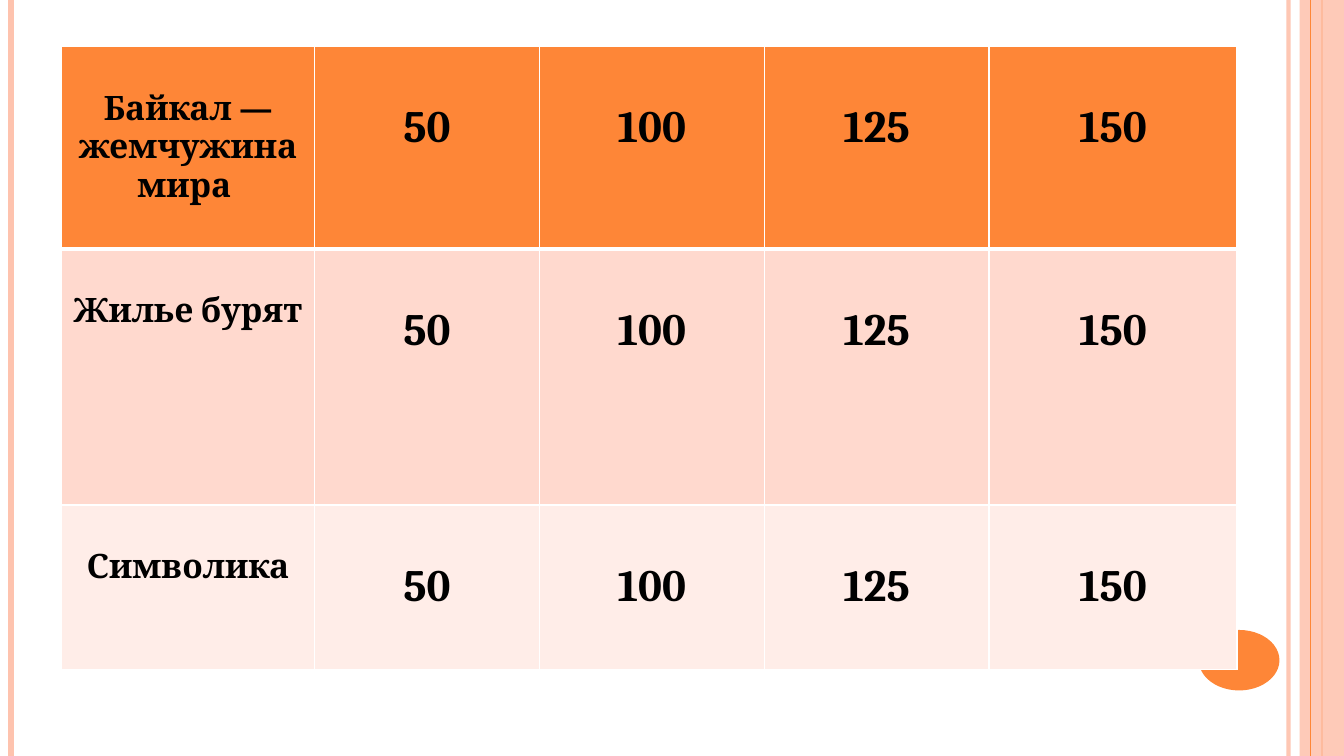
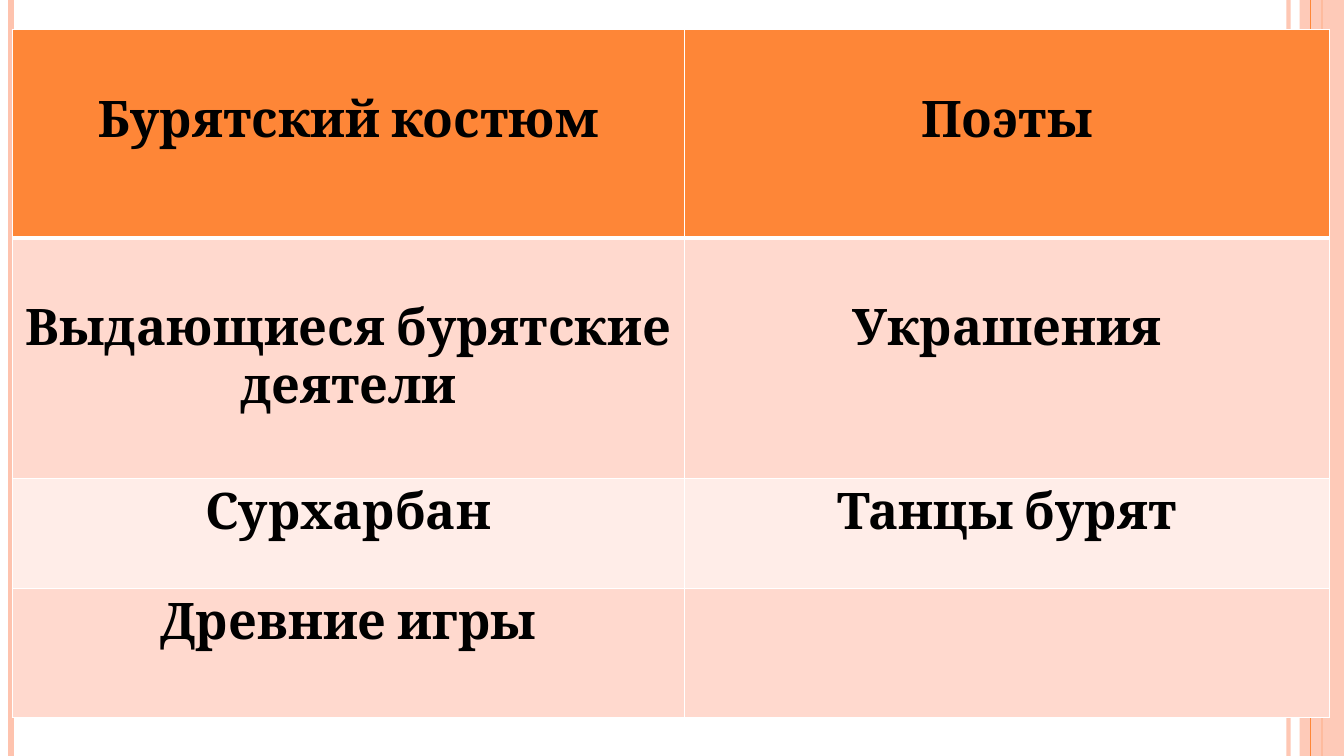
"""Builds two quiz slides with category tables on a shared striped layout."""
from lxml.etree import SubElement
from pptx import Presentation
from pptx.dml.color import RGBColor
from pptx.enum.shapes import MSO_CONNECTOR, MSO_SHAPE
from pptx.enum.text import PP_ALIGN
from pptx.oxml.ns import qn
from pptx.util import Inches, Pt

ORANGE, PEACH, WHITE, BLACK = "FE8637", "FEC3AE", "FFFFFF", "000000"
BANDS = ["FFD9CE", "FFEDE8"]
FONT = "Cambria"
WIDE, HIGH = 13.33, 7.5
PAD = 0.05
LINE = 0.0159

RULES = [
    (12.78, PEACH, 3, 93),
    (0.11, PEACH, 4.5, 100),
    (13.11, ORANGE, 1.5, 100),
]
EDGE = (13, ORANGE, 0.75, 100)

POINTS = ["50", "100", "125", "150"]
TOPICS = ["Байкал — жемчужина мира ", "Жилье бурят", "Символика"]
TABLES = [
    {
        "at": (0.61, 0.46),
        "cols": [2.51, 2.23, 2.23, 2.23, 2.46],
        "rows": [2.01, 2.54, 1.63],
        "sizes": [24, 32, 32, 32, 32],
        "drop": 3,
        "cells": [[topic, *POINTS] for topic in TOPICS],
    },
    {
        "at": (0.12, 0.29),
        "cols": [6.67, 6.4],
        "rows": [2.07, 2.39, 1.09, 1.28],
        "sizes": [36, 36],
        "drop": 2,
        "cells": [
            ["Бурятский костюм", "Поэты"],
            ["Выдающиеся бурятские деятели", "Украшения"],
            ["Сурхарбан", "Танцы бурят"],
            ["Древние игры", ""],
        ],
    },
]


def color(code):
    return RGBColor.from_string(code)


def fade(fill, share):
    if share < 100:
        tone = fill.fore_color._xFill.find(qn("a:srgbClr"))
        SubElement(tone, qn("a:alpha")).set("val", str(share * 1000))


def rule(slide, x, code, width, share):
    line = slide.shapes.add_connector(
        MSO_CONNECTOR.STRAIGHT, Inches(x), 0, Inches(x), Inches(HIGH))
    line.line.width = Pt(width)
    line.line.fill.solid()
    line.line.color.rgb = color(code)
    fade(line.line.fill, share)
    SubElement(line.element.spPr, qn("a:effectLst"))
    return line


def shape(slide, kind, box, code, share=100):
    part = slide.shapes.add_shape(kind, *map(Inches, box))
    part.shadow.inherit = False
    part.fill.solid()
    part.fill.fore_color.rgb = color(code)
    fade(part.fill, share)
    part.line.fill.background()
    return part


def dress(layout, slide):
    for holder in list(layout.placeholders):
        layout.shapes.element.remove(holder.element)
    parts = [rule(slide, *item) for item in RULES]
    parts.append(shape(slide, MSO_SHAPE.RECTANGLE, (12.89, 0, 0.44, HIGH), PEACH, 87))
    parts.append(rule(slide, *EDGE))
    parts.append(shape(slide, MSO_SHAPE.OVAL, (11.89, 6.25, 0.8, 0.6), ORANGE))
    for part in parts:
        layout.shapes.element.append(part.element)


def border(cell, row):
    widths = {"L": 1, "R": 1, "T": 3 if row == 1 else 1, "B": 3 if row == 0 else 1}
    props = cell._tc.get_or_add_tcPr()
    for side, width in widths.items():
        line = SubElement(props, qn("a:ln" + side))
        line.set("w", str(Pt(width)))
        fill = SubElement(line, qn("a:solidFill"))
        SubElement(fill, qn("a:srgbClr")).set("val", WHITE)


def write(cell, text, size):
    if not text:
        return
    para = cell.text_frame.paragraphs[0]
    para.alignment = PP_ALIGN.CENTER
    run = para.add_run()
    run.text = text
    run.font.name = FONT
    run.font.size = Pt(size)
    run.font.bold = True
    run.font.color.rgb = color(BLACK)


def grid(slide, data):
    cols, rows = data["cols"], data["rows"]
    box = (*data["at"], sum(cols), sum(rows))
    table = slide.shapes.add_table(len(rows), len(cols), *map(Inches, box)).table
    table.horz_banding = False
    for col, width in zip(table.columns, cols):
        col.width = Inches(width)
    for row, height in zip(table.rows, rows):
        row.height = Inches(height)
    for r, texts in enumerate(data["cells"]):
        for c, (text, size) in enumerate(zip(texts, data["sizes"])):
            cell = table.cell(r, c)
            drop = LINE * size if r < data["drop"] else 0
            cell.margin_top = Inches(PAD + drop)
            border(cell, r)
            cell.fill.solid()
            cell.fill.fore_color.rgb = color(BANDS[(r - 1) % 2] if r else ORANGE)
            write(cell, text, size)


def main():
    deck = Presentation()
    deck.slide_width, deck.slide_height = Inches(WIDE), Inches(HIGH)
    layout = deck.slide_layouts[6]
    slides = [deck.slides.add_slide(layout) for _ in TABLES]
    dress(layout, slides[0])
    for slide, data in zip(slides, TABLES):
        grid(slide, data)
    deck.save("out.pptx")


if __name__ == "__main__":
    main()
